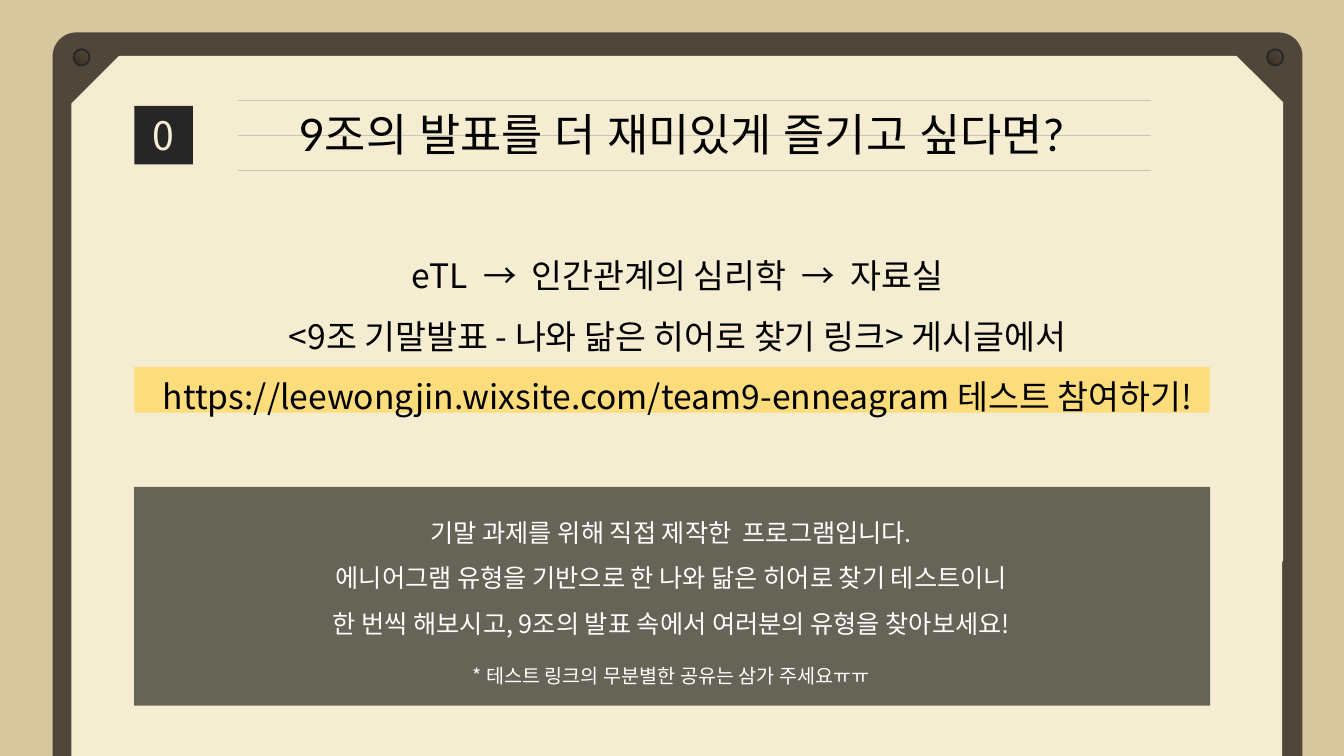
"""Build the slide that invites the class to take the hero test."""
import copy

import lxml.etree
import pptx
import pptx.dml.color
import pptx.enum.shapes
import pptx.enum.text
import pptx.oxml.ns
import pptx.util

Pt = pptx.util.Pt
qn = pptx.oxml.ns.qn
KIND = pptx.enum.shapes.MSO_SHAPE
COLORS = {
    "sand": "D6C79F", "frame": "50473A", "paper": "F5EDD1", "ink": "262626",
    "cream": "F7EFD3", "rule": "C8C5B8", "mark": "FFD966",
    "black": "000000", "white": "FFFFFF",
}
SCREW = ["302A21", "453C2F", "524738"]
NOTO = "Noto Sans CJK KR"
rgb = {name: pptx.dml.color.RGBColor.from_string(code) for name, code in COLORS.items()}

deck = pptx.Presentation()
deck.slide_width, deck.slide_height = Pt(960), Pt(540)
slide = deck.slides.add_slide(deck.slide_layouts[6])
slide.background.fill.solid()
slide.background.fill.fore_color.rgb = rgb["sand"]
shapes = slide.shapes


def paint(shape, color, alpha=100):
    """Give a shape a plain fill and no line or shadow."""
    shape.shadow.inherit = False
    shape.line.fill.background()
    shape.fill.solid()
    shape.fill.fore_color.rgb = rgb[color]
    if alpha < 100:
        tone = shape.fill._xPr.find(".//" + qn("a:srgbClr"))
        lxml.etree.SubElement(tone, qn("a:alpha"), val=str(alpha * 1000))


def write(shape, lines, color, font):
    """Fill a shape with centred lines of text, size, pitch and gap."""
    frame = shape.text_frame
    frame.word_wrap = True
    for i, (text, size, pitch, gap) in enumerate(lines):
        para = frame.paragraphs[0] if i == 0 else frame.add_paragraph()
        para.alignment = pptx.enum.text.PP_ALIGN.CENTER
        if pitch:
            para.line_spacing = Pt(pitch)
        if gap:
            para.space_before = Pt(gap)
        run = para.add_run()
        run.text = text
        run.font.size = Pt(size)
        run.font.name = font
        run.font.color.rgb = rgb[color]
        lxml.etree.SubElement(run.font._element, qn("a:ea"), typeface=font)


board = shapes.add_shape(KIND.ROUND_2_SAME_RECTANGLE, Pt(37.6), Pt(23.2), Pt(892.8), Pt(516.8))
board.adjustments[0], board.adjustments[1] = 0.033, 0
paint(board, "frame")

pen = shapes.build_freeform(Pt(85), Pt(40), 1.0)
edge = [(883.4, 40), (916.6, 73), (916.6, 400), (915.8, 402), (915.8, 540), (51, 540), (51, 74)]
pen.add_line_segments([(Pt(x), Pt(y)) for x, y in edge], close=True)
paint(pen.convert_to_shape(), "paper")

for left in (52.4, 905):
    screw = shapes.add_shape(KIND.OVAL, Pt(left), Pt(35.2), Pt(11.6), Pt(11.6))
    screw.shadow.inherit = False
    screw.line.color.rgb = rgb["ink"]
    screw.line.width = Pt(1.25)
    screw.fill.gradient()
    screw.fill.gradient_angle = 45
    stops = screw.fill._xPr.find(".//" + qn("a:gsLst"))
    stops.insert(1, copy.deepcopy(stops[0]))
    for i, stop in enumerate(screw.fill.gradient_stops):
        stop.position = i / 2
        stop.color.rgb = pptx.dml.color.RGBColor.from_string(SCREW[i])

badge = shapes.add_shape(KIND.RECTANGLE, Pt(96), Pt(75.6), Pt(41.8), Pt(41.8))
paint(badge, "ink")
badge.text_frame.vertical_anchor = pptx.enum.text.MSO_ANCHOR.MIDDLE
write(badge, [("0", 28, None, 0)], "cream", NOTO)

rules = shapes.add_group_shape()
for i in range(3):
    top = Pt(71.8 + 24.9 * i)
    rule = rules.shapes.add_connector(
        pptx.enum.shapes.MSO_CONNECTOR.STRAIGHT, Pt(170), top, Pt(822), top)
    rule.line.color.rgb = rgb["rule"]
    rule.line.width = Pt(0.25)
    lxml.etree.SubElement(rule._element.spPr, qn("a:effectLst"))

title = shapes.add_textbox(Pt(205.2), Pt(72.8), Pt(548.6), Pt(46))
write(title, [("9조의 발표를 더 재미있게 즐기고 싶다면?", 32, 38.4, 0)], "black", "Lato")

band = shapes.add_shape(KIND.RECTANGLE, Pt(96), Pt(262), Pt(768), Pt(32.8))
paint(band, "mark", 80)
steps = shapes.add_textbox(Pt(80), Pt(164.2), Pt(807.8), Pt(134))
write(steps, [
    ("eTL  →  인간관계의 심리학  →  자료실", 24, 43.2, 0),
    ("<9조 기말발표 - 나와 닮은 히어로 찾기 링크> 게시글에서", 24, 43.2, 0),
    ("https://leewongjin.wixsite.com/team9-enneagram 테스트 참여하기!", 24, 43.2, 0),
], "black", NOTO)

panel = shapes.add_shape(KIND.RECTANGLE, Pt(95.8), Pt(347.8), Pt(768.6), Pt(156.2))
paint(panel, "black", 58)
note = shapes.add_textbox(Pt(75.6), Pt(355), Pt(807.8), Pt(137.5))
write(note, [
    ("기말 과제를 위해 직접 제작한  프로그램입니다.", 18, 32.4, 0),
    ("에니어그램 유형을 기반으로 한 나와 닮은 히어로 찾기 테스트이니", 18, 32.4, 0),
    ("한 번씩 해보시고, 9조의 발표 속에서 여러분의 유형을 찾아보세요!", 18, 32.4, 0),
    ("* 테스트 링크의 무분별한 공유는 삼가 주세요ㅠㅠ", 14, 25.2, 10),
], "white", NOTO)

deck.save("out.pptx")
